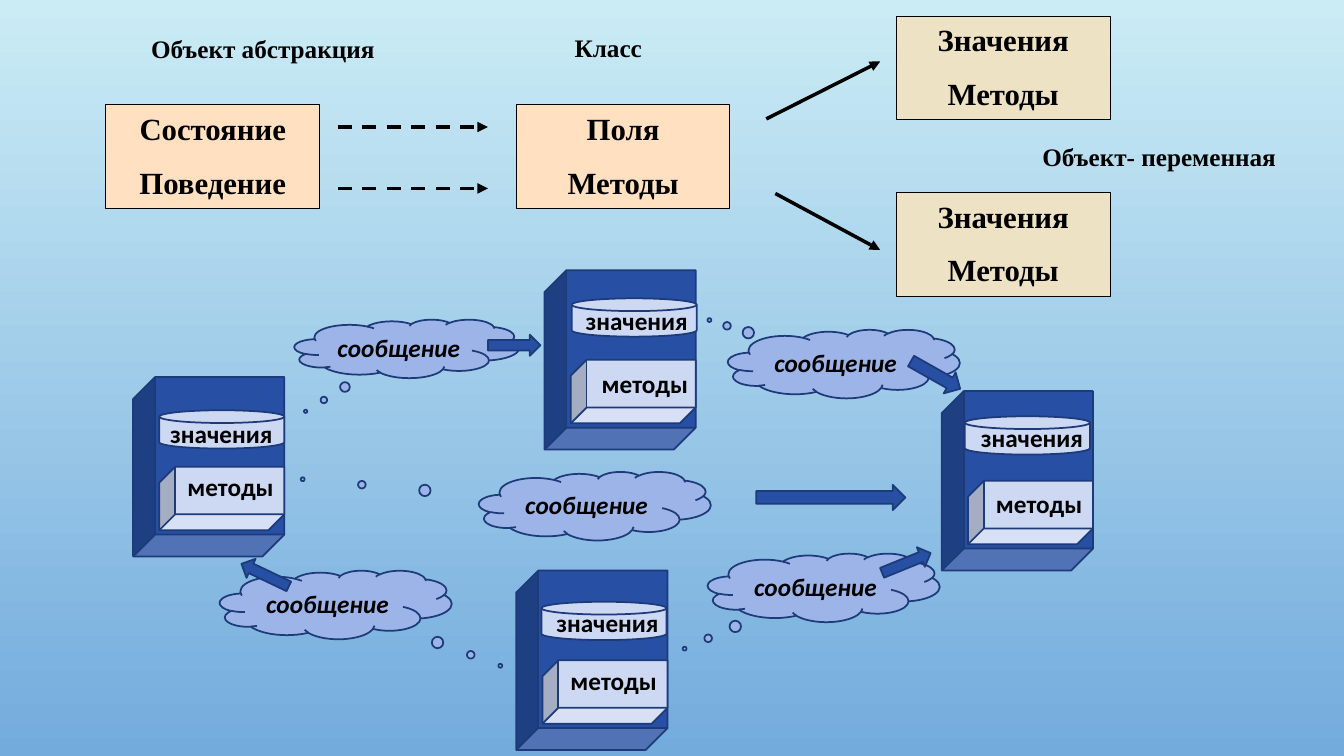
from lxml import etree
from pptx import Presentation
from pptx.dml.color import RGBColor
from pptx.enum.dml import MSO_LINE
from pptx.enum.shapes import MSO_CONNECTOR, MSO_SHAPE
from pptx.enum.text import MSO_ANCHOR, PP_ALIGN
from pptx.oxml.ns import qn
from pptx.util import Inches, Pt

RECT, CUBE, CLOUD = MSO_SHAPE.RECTANGLE, MSO_SHAPE.CUBE, MSO_SHAPE.CLOUD_CALLOUT
DISK, ARROW = MSO_SHAPE.FLOWCHART_MAGNETIC_DISK, MSO_SHAPE.RIGHT_ARROW
STRAIGHT, DASH = MSO_CONNECTOR.STRAIGHT, MSO_LINE.DASH
CENTER, LEFT = PP_ALIGN.CENTER, PP_ALIGN.LEFT
TOP, MIDDLE = MSO_ANCHOR.TOP, MSO_ANCHOR.MIDDLE
SERIF, SANS = "Times New Roman", "Calibri"

COLORS = {
    "sky_top": "CBECF5", "sky_bottom": "73ABDD", "black": "000000",
    "peach": "FFE0C1", "sand": "EEE2C4",
    "blue": "274FA4", "navy": "1D3A79", "cloud": "9CB4E7", "pale": "CDD9F3",
}


def color(name):
    return RGBColor.from_string(COLORS[name])


def set_background(s):
    fill = s.background.fill
    fill.gradient()
    fill.gradient_angle = 270
    for stop, name in zip(fill.gradient_stops, ("sky_top", "sky_bottom")):
        stop.color.rgb = color(name)


def write(tf, lines, size, font, align=LEFT, italic=False):
    for i, line in enumerate(lines):
        p = tf.add_paragraph() if i else tf.paragraphs[0]
        p.text = line
        p.alignment = align
        if i:
            p.space_before = Pt(12)
        p.font.size = Pt(size)
        p.font.name = font
        p.font.bold = True
        p.font.italic = italic
        p.font.color.rgb = color("black")


def add_shape(s, kind, x, y, w, h, fill, line="navy", width=1.25, rotation=0, adjust=()):
    sp = s.shapes.add_shape(kind, Inches(x), Inches(y), Inches(w), Inches(h))
    sp.shadow.inherit = False
    sp.fill.solid()
    sp.fill.fore_color.rgb = color(fill)
    sp.line.color.rgb = color(line)
    sp.line.width = Pt(width)
    sp.rotation = rotation
    for i, value in enumerate(adjust):
        sp.adjustments[i] = value
    return sp


def add_label(s, text, x, y, w, font):
    tb = s.shapes.add_textbox(Inches(x), Inches(y), Inches(w), Inches(0.4))
    tb.text_frame.word_wrap = False
    write(tb.text_frame, [text], 18, font)


def add_box(s, x, y, fill, lines):
    sp = add_shape(s, RECT, x, y, 2.12, 1.03, fill, "black", 0.75)
    sp.text_frame.vertical_anchor = TOP
    write(sp.text_frame, lines, 22, SERIF, CENTER)


def add_line_arrow(s, x1, y1, x2, y2, dashed):
    c = s.shapes.add_connector(STRAIGHT, Inches(x1), Inches(y1), Inches(x2), Inches(y2))
    c.line.color.rgb = color("black")
    c.line.width = Pt(2.5)
    if dashed:
        c.line.dash_style = DASH
    etree.SubElement(c.line._get_or_add_ln(), qn("a:tailEnd"), type="triangle")
    etree.SubElement(c._element.spPr, qn("a:effectLst"))


def add_object(s, x, y, disk, methods, values):
    """A cube holding a values disk and a methods block; pairs are offsets from its corner."""
    add_shape(s, CUBE, x, y, 1.5, 1.78, "blue", rotation=180, adjust=[0.145])
    add_shape(s, CUBE, x + 0.26, y + 0.89, 1.24, 0.63, "pale", rotation=180)
    add_label(s, "методы", x + methods[0], y + methods[1], 1.06, SANS)
    add_shape(s, DISK, x + disk[0], y + disk[1], 1.24, 0.38, "pale")
    add_label(s, "значения", x + values[0], y + values[1], 1.23, SANS)


def add_message(s, x, y, w, h, tail):
    sp = add_shape(s, CLOUD, x, y, w, h, "cloud", adjust=tail)
    sp.text_frame.vertical_anchor = MIDDLE
    write(sp.text_frame, ["сообщение"], 18, SANS, CENTER, italic=True)


def main():
    prs = Presentation()
    prs.slide_width, prs.slide_height = Inches(13.33), Inches(7.5)
    s = prs.slides.add_slide(prs.slide_layouts[6])
    set_background(s)

    # From abstraction to class to variables
    for x, y, fill, lines in [
        (1.05, 1.04, "peach", ["Состояние", "Поведение"]),
        (5.12, 1.04, "peach", ["Поля", "Методы"]),
        (8.89, 0.16, "sand", ["Значения", "Методы"]),
        (8.89, 1.91, "sand", ["Значения", "Методы"]),
    ]:
        add_box(s, x, y, fill, lines)
    for x1, y1, x2, y2, dashed in [
        (3.35, 1.26, 4.84, 1.26, True),
        (3.35, 1.87, 4.84, 1.87, True),
        (7.6, 1.18, 8.73, 0.61, False),
        (7.69, 1.92, 8.73, 2.48, False),
    ]:
        add_line_arrow(s, x1, y1, x2, y2, dashed)
    add_label(s, "Объект абстракция", 1.4, 0.28, 2.42, SERIF)
    add_label(s, "Класс", 5.6, 0.27, 0.87, SERIF)
    add_label(s, "Объект- переменная", 10.24, 1.35, 2.53, SERIF)

    # Objects
    for x, y, disk, methods, values in [
        (5.4, 2.68, (0.27, 0.28), (0.47, 0.93), (0.31, 0.3)),
        (1.32, 3.74, (0.26, 0.33), (0.44, 0.89), (0.27, 0.36)),
        (9.34, 3.88, (0.23, 0.25), (0.44, 0.92), (0.29, 0.26)),
        (5.12, 5.66, (0.25, 0.31), (0.44, 0.89), (0.3, 0.32)),
    ]:
        add_object(s, x, y, disk, methods, values)

    # Messages between the objects
    for x, y, w, h, tail in [
        (2.92, 3.17, 2.23, 0.58, (-0.45, 1.07)),
        (7.22, 3.27, 2.3, 0.68, (-0.58, -0.64)),
        (7.02, 5.49, 2.3, 0.68, (-0.6, 0.89)),
        (2.18, 5.66, 2.3, 0.68, (0.71, 0.89)),
        (4.75, 4.68, 2.3, 0.68, (-1.26, -0.39)),
    ]:
        add_message(s, x, y, w, h, tail)

    # Message directions
    for x, y, w, h, rotation in [
        (4.84, 3.32, 0.52, 0.21, 0),
        (7.5, 4.81, 1.48, 0.25, 0),
        (9, 3.6, 0.56, 0.24, 29.5),
        (8.73, 5.48, 0.52, 0.21, 337.9),
        (2.37, 5.6, 0.52, 0.21, 205.5),
    ]:
        add_shape(s, ARROW, x, y, w, h, "blue", rotation=rotation)

    prs.save("out.pptx")


if __name__ == "__main__":
    main()
